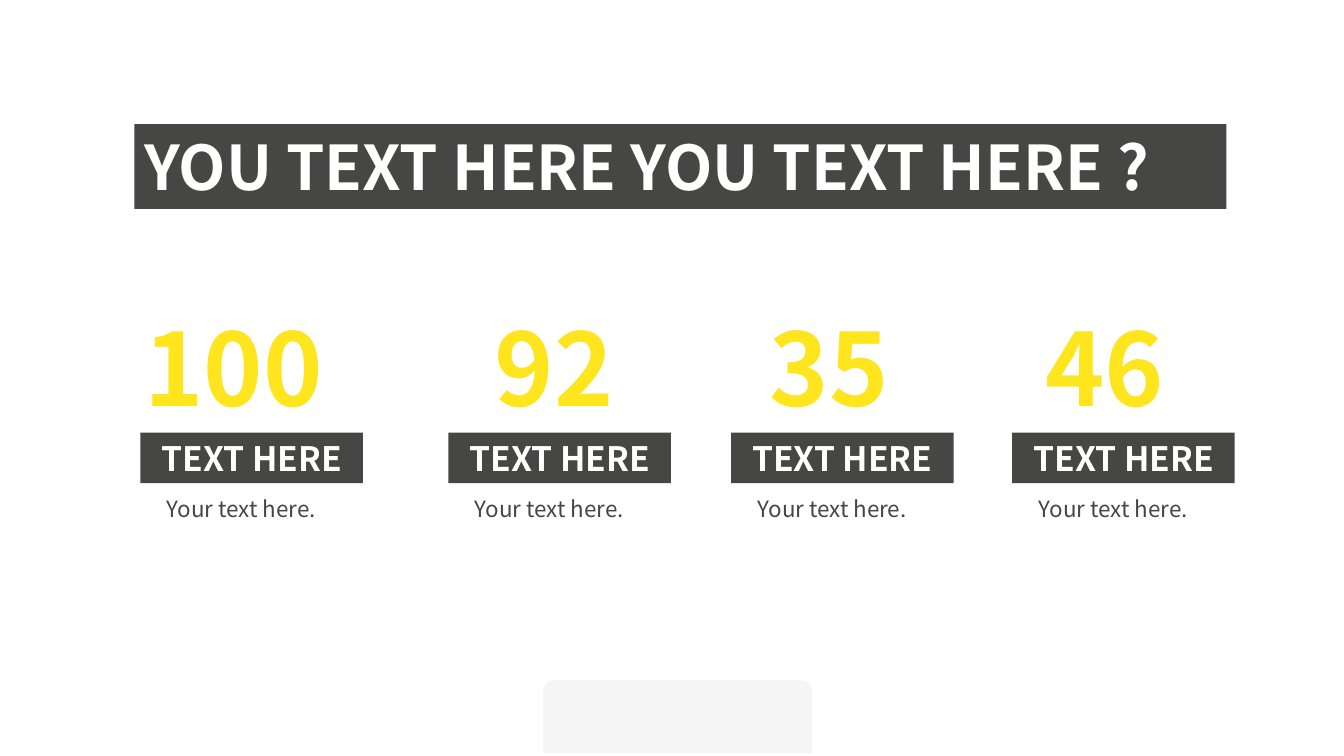
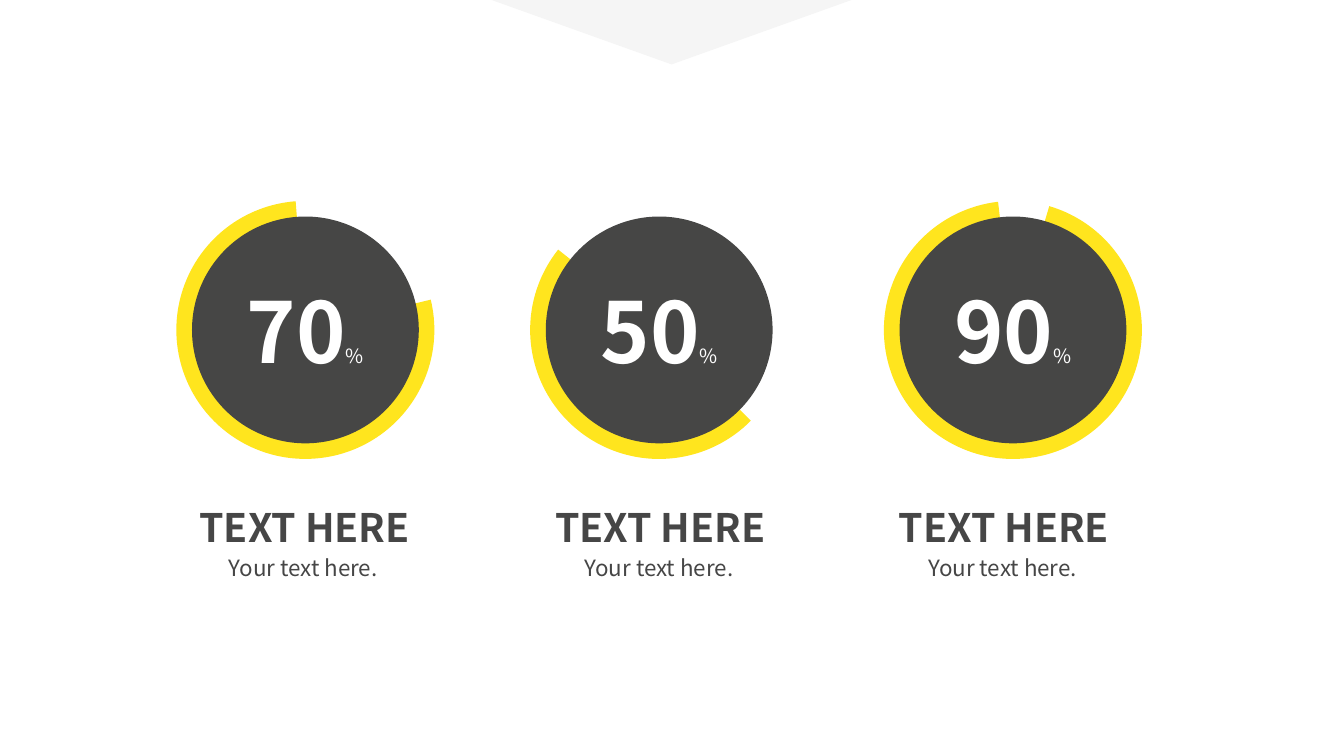
from pptx import Presentation
from pptx.dml.color import RGBColor
from pptx.enum.shapes import MSO_SHAPE as Shape
from pptx.enum.text import MSO_ANCHOR as Anchor, MSO_AUTO_SIZE as Auto, PP_ALIGN as Align
from pptx.util import Pt

FONT = "Noto Sans CJK SC"
HUES = {"dark": "464645", "text": "464646", "sun": "FFE51E",
        "pale": "F5F5F5", "white": "FFFFFF"}
LABEL = "TEXT HERE"
NOTE = "Your text here."
ARC_END = 335


def color(name):
    """Return the named colour."""
    return RGBColor.from_string(HUES[name])


def style(run, size, hue, bold=False):
    """Format one run."""
    font = run.font
    font.name, font.size, font.bold = FONT, Pt(size), bold
    font.color.rgb = color(hue)


def write(shape, text, size, hue, bold=False, align=Align.LEFT):
    """Put one line of text at the top of a shape that grows with it."""
    frame = shape.text_frame
    frame.text = text
    frame.word_wrap = True
    frame.auto_size = Auto.SHAPE_TO_FIT_TEXT
    frame.vertical_anchor = Anchor.TOP
    line = frame.paragraphs[0]
    line.alignment = align
    style(line.runs[0], size, hue, bold)


def draw(shapes, kind, box, hue):
    """Add a plain filled shape."""
    shape = shapes.add_shape(kind, *map(Pt, box))
    shape.shadow.inherit = False
    shape.fill.solid()
    shape.fill.fore_color.rgb = color(hue)
    shape.line.fill.background()
    return shape


def label(slide, box, text, size, hue, bold=False):
    """Add a text box."""
    write(slide.shapes.add_textbox(*map(Pt, box)), text, size, hue, bold)


def note(slide, left, top):
    """Add the small line under a heading."""
    label(slide, (left, top, 129, 26.6), NOTE, 16, "text")


def band(slide, box, text, size, align=Align.LEFT):
    """Add a dark band with white bold text."""
    bar = draw(slide.shapes, Shape.RECTANGLE, box, "dark")
    write(bar, text, size, "white", True, align)


def tab(slide, left, top, width):
    """Add the pale tab at the bottom edge."""
    parts = slide.shapes.add_group_shape().shapes
    draw(parts, Shape.ROUNDED_RECTANGLE, (left, top, width, 40.3), "pale")
    draw(parts, Shape.RECTANGLE, (left, top + 16.5, width, 35.3), "pale")


def count(slide, left, top, value, shift, width):
    """Add a big number above its band and note."""
    label(slide, (left + shift, top, width, 94.5), value, 72, "sun", True)
    band(slide, (left, top + 94.5, 159, 36), LABEL, 24, Align.CENTER)
    note(slide, left + 12, top + 135.5)


def gauge(slide, left, top, value, start, turn):
    """Add a disc with a percentage inside a partial ring."""
    ring = draw(slide.shapes, Shape.BLOCK_ARC, (left, top, 184.3, 184.3), "sun")
    ring.rotation = turn
    for i, adj in enumerate((start * 0.6, ARC_END * 0.6, 0.07)):
        ring.adjustments[i] = adj
    disc = draw(slide.shapes, Shape.OVAL, (left + 11.15, top + 11.15, 162, 162), "dark")
    frame = disc.text_frame
    frame.word_wrap = True
    frame.vertical_anchor = Anchor.MIDDLE
    line = frame.paragraphs[0]
    line.alignment = Align.CENTER
    for text, size, bold in ((value, 60, True), ("%", 14, False)):
        run = line.add_run()
        run.text = text
        style(run, size, "white", bold)


def caption(slide, left, top):
    """Add a heading with its note."""
    label(slide, (left, top, 180, 41.2), LABEL, 28, "text", True)
    note(slide, left + 21, top + 36.8)


def counts(slide):
    """Build the slide of four numbers."""
    band(slide, (96, 88.6, 780, 60.6), "YOU TEXT HERE YOU TEXT HERE ?", 44)
    for left, value, shift, width in ((100.2, "100", -4.2, 157.7), (320.2, "92", 26.1, 103.7),
                                      (522.2, "35", 20.7, 103.7), (723, "46", 16.5, 116.6)):
        count(slide, left, 214.6, value, shift, width)
    tab(slide, 388, 486, 192)


def gauges(slide):
    """Build the slide of three gauges."""
    rows = (("70", 55.74, 290.7, 135.4), ("50", 161.2, 243.5, 389.5),
            ("90", 357.96, 288.4, 635))
    for i, (value, start, turn, left) in enumerate(rows):
        gauge(slide, 126 + i * 252.7, 143.5, value, start, turn)
        caption(slide, left, 355.7)
    notch = draw(slide.shapes, Shape.ISOSCELES_TRIANGLE, (351.2, 0, 257, 46), "pale")
    notch.rotation = 180


def main():
    """Build and save the slides."""
    deck = Presentation()
    deck.slide_width, deck.slide_height = Pt(960), Pt(540)
    for build in (counts, gauges):
        build(deck.slides.add_slide(deck.slide_layouts[6]))
    deck.save("out.pptx")


if __name__ == "__main__":
    main()
